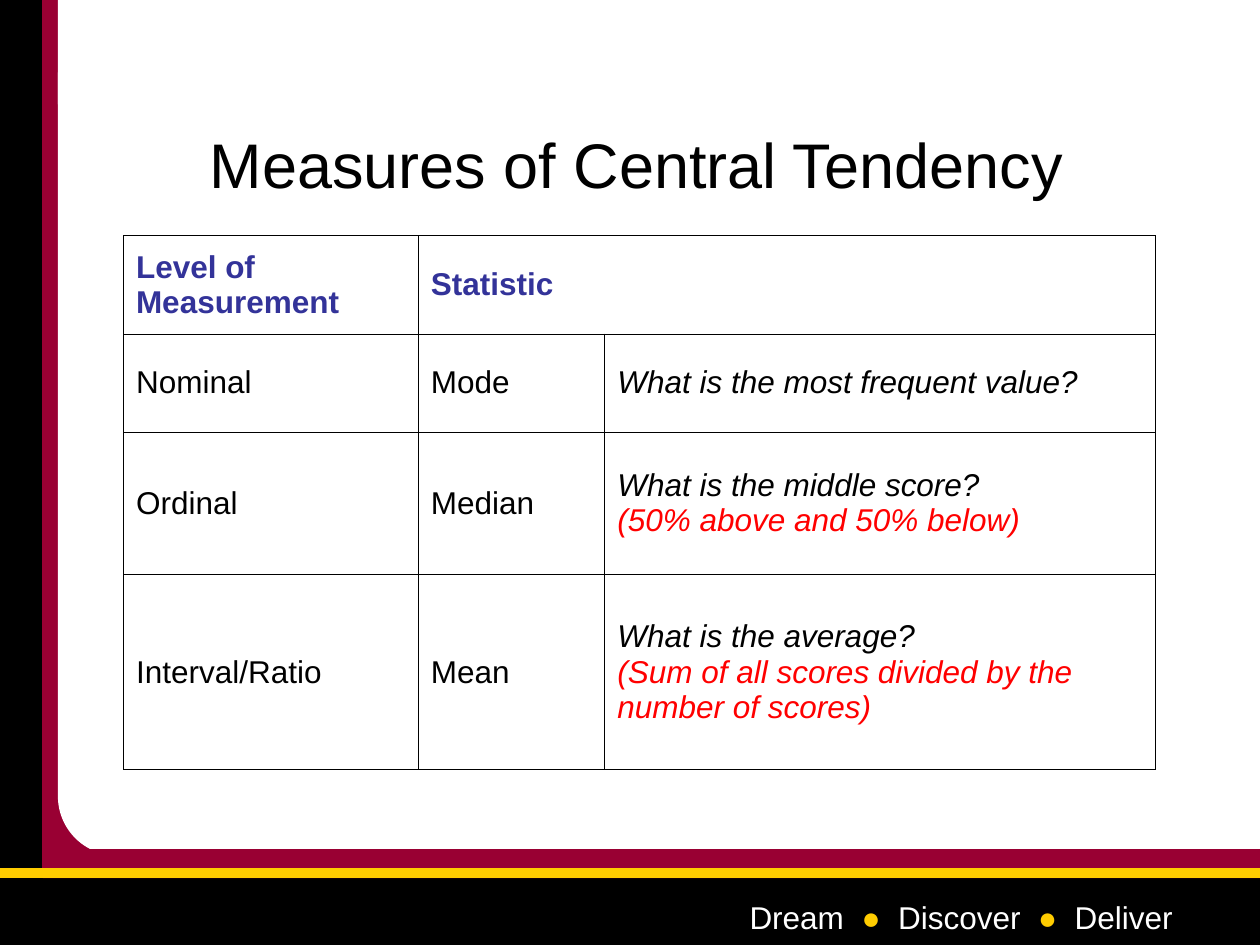
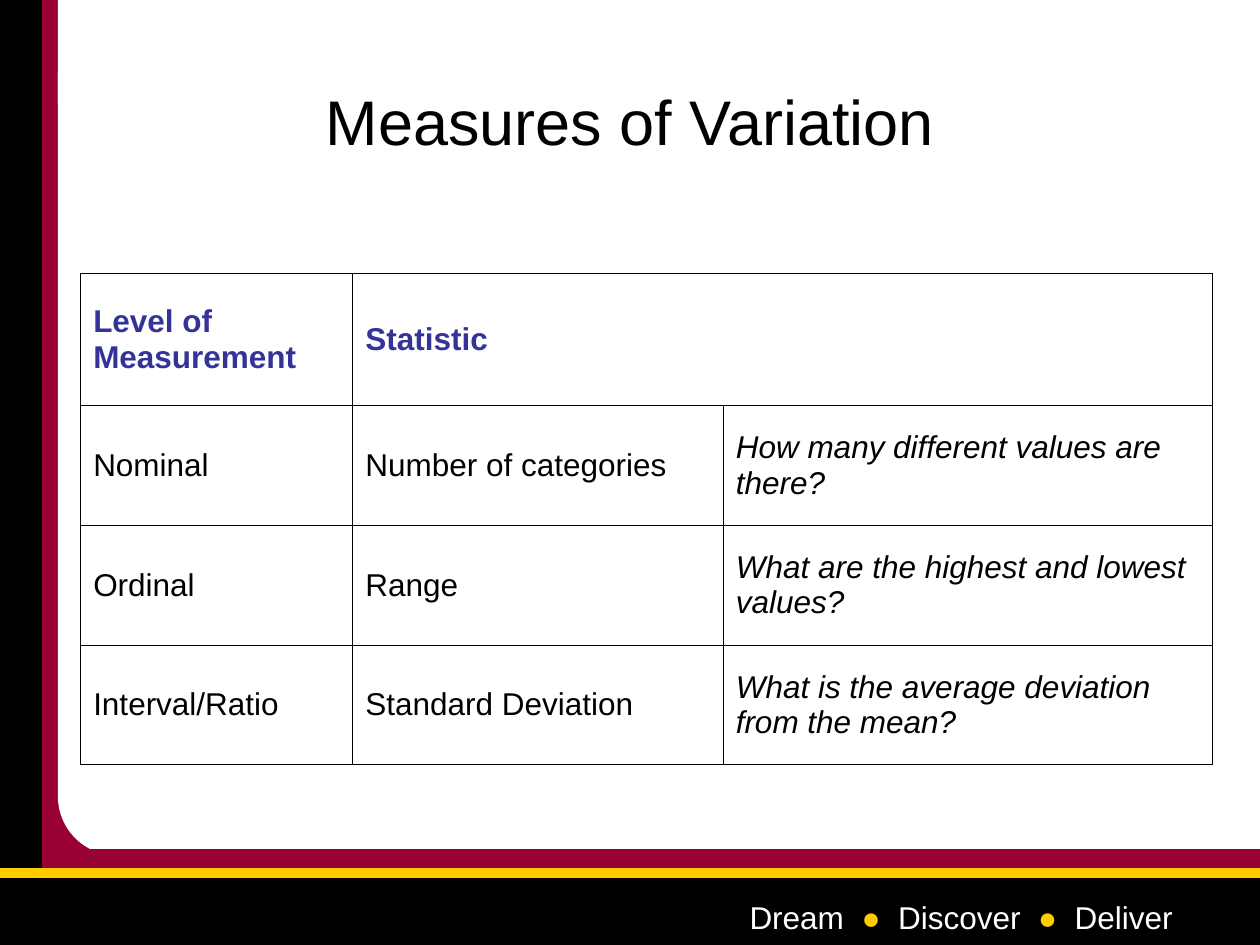
from dataclasses import dataclass

from lxml.etree import SubElement
from pptx import Presentation
from pptx.dml.color import RGBColor
from pptx.enum.shapes import MSO_CONNECTOR, MSO_SHAPE
from pptx.enum.text import MSO_ANCHOR, PP_ALIGN
from pptx.oxml import parse_xml
from pptx.oxml.ns import nsdecls, qn
from pptx.util import Emu, Pt

EMU_PER_PX = 9144


def px(n):
    return Emu(n * EMU_PER_PX)


@dataclass(frozen=True)
class Theme:
    black: str = "000000"
    white: str = "FFFFFF"
    maroon: str = "990033"
    gold: str = "FFCC00"
    heading: str = "333399"
    note: str = "FF0000"
    sans: str = "Arial"
    title_size: int = 36
    body_size: int = 18
    gold_line: float = 6
    edge_line: float = 0.75
    grid_line: float = 0.45


class Deck:
    def __init__(self, theme):
        self.t = theme
        self.prs = Presentation()
        self.prs.slide_width, self.prs.slide_height = px(1000), px(750)
        self.s = None

    def new_slide(self):
        self.s = self.prs.slides.add_slide(self.prs.slide_layouts[6])
        self.frame()

    def font(self, r, size, color, bold=False, italic=False):
        f = r.font
        f.name, f.size = self.t.sans, Pt(size)
        f.bold, f.italic = bold, italic
        f.color.rgb = RGBColor.from_string(color)

    def block(self, x, y, w, h, color, edge=False, kind=MSO_SHAPE.RECTANGLE):
        sp = self.s.shapes.add_shape(kind, px(x), px(y), px(w), px(h))
        sp.shadow.inherit = False
        sp.fill.solid()
        sp.fill.fore_color.rgb = RGBColor.from_string(color)
        if edge:
            sp.line.color.rgb = RGBColor.from_string(color)
            sp.line.width = Pt(self.t.edge_line)
        else:
            sp.line.fill.background()
        return sp

    def rule(self, x1, y1, x2, y2, color, width):
        ln = self.s.shapes.add_connector(
            MSO_CONNECTOR.STRAIGHT, px(x1), px(y1), px(x2), px(y2))
        ln.line.color.rgb = RGBColor.from_string(color)
        ln.line.width = Pt(width)
        SubElement(ln._element.spPr, qn("a:effectLst"))

    def textbox(self, x, y, w, h, align=PP_ALIGN.LEFT, anchor=MSO_ANCHOR.TOP):
        tf = self.s.shapes.add_textbox(px(x), px(y), px(w), px(h)).text_frame
        tf.word_wrap = True
        tf.vertical_anchor = anchor
        tf.paragraphs[0].alignment = align
        return tf.paragraphs[0]

    def tabs(self, p, stops):
        tab_list = SubElement(p._p.get_or_add_pPr(), qn("a:tabLst"))
        for stop in stops:
            SubElement(tab_list, qn("a:tab"), pos=str(px(stop)), algn="l")

    def frame(self):
        t = self.t
        self.block(32, 0, 43, 750, t.maroon)
        self.block(104, 75, 896, 675, t.white)
        self.block(0, 0, 33, 750, t.black, edge=True)
        self.block(0, 696, 1000, 54, t.black, edge=True)
        panel = self.block(46, 12, 281, 667, t.white, kind=MSO_SHAPE.ROUNDED_RECTANGLE)
        panel.adjustments[0] = 47 / 281
        self.block(46, 0, 64, 83, t.white)
        self.block(34, 674, 966, 23, t.maroon)
        self.rule(0, 693, 1000, 693, t.gold, t.gold_line)
        self.motto()

    def motto(self):
        t = self.t
        p = self.textbox(585, 708, 399, 40)
        self.tabs(p, (89, 118, 229, 258))
        for text, color in [("Dream\t", t.white), ("●\t", t.gold),
                            ("Discover\t", t.white), ("●\t", t.gold),
                            ("Deliver", t.white)]:
            r = p.add_run()
            r.text = text
            self.font(r, t.body_size, color)

    def title(self, text, x, y, w, h):
        p = self.textbox(x, y, w, h, PP_ALIGN.CENTER, MSO_ANCHOR.MIDDLE)
        p.text = text
        self.font(p.runs[0], self.t.title_size, self.t.black)

    def borders(self, cell):
        tc_pr = cell._tc.get_or_add_tcPr()
        for i, side in enumerate("LRTB"):
            tc_pr.insert(i, parse_xml(
                f'<a:ln{side} {nsdecls("a")} w="{Pt(self.t.grid_line)}"><a:solidFill>'
                f'<a:srgbClr val="{self.t.black}"/></a:solidFill></a:ln{side}>'))

    def cell(self, cell, text, header, question):
        t = self.t
        cell.fill.background()
        self.borders(cell)
        cell.vertical_anchor = MSO_ANCHOR.MIDDLE
        p = cell.text_frame.paragraphs[0]
        p.text = text
        for i, r in enumerate(p.runs):
            color = t.heading if header else t.note if i else t.black
            self.font(r, t.body_size, color, bold=header, italic=question)

    def table(self, x, y, widths, heights, rows):
        table = self.s.shapes.add_table(
            len(heights), len(widths), px(x), px(y),
            px(sum(widths)), px(sum(heights))).table
        table.first_row = table.horz_banding = False
        for col, w in zip(table.columns, widths):
            col.width = px(w)
        for row, h in zip(table.rows, heights):
            row.height = px(h)
        for i, texts in enumerate(rows):
            for j, text in enumerate(texts):
                self.cell(table.cell(i, j), text, i == 0, i > 0 and j == 2)
        table.cell(0, 1).merge(table.cell(0, 2))


HEADER = ("Level of Measurement", "Statistic", "")
LEVELS = ("Nominal", "Ordinal", "Interval/Ratio")


def with_levels(measures):
    return [HEADER] + [(level, *m) for level, m in zip(LEVELS, measures)]


def main():
    deck = Deck(Theme())

    deck.new_slide()
    deck.title("Measures of Central Tendency", 71, 67, 868, 125)
    deck.table(98, 187, (234, 148, 437), (78, 78, 113, 155), with_levels([
        ("Mode", "What is the most frequent value?"),
        ("Median", "What is the middle score?\v(50% above and 50% below)"),
        ("Mean", "What is the average?\v"
                 "(Sum of all scores divided by the number of scores)"),
    ]))

    deck.new_slide()
    deck.title("Measures of Variation", 75, 33, 850, 125)
    deck.table(64, 217, (216, 294, 388), (105, 95, 95, 95), with_levels([
        ("Number of categories", "How many different values are there?"),
        ("Range", "What are the highest and lowest values?"),
        ("Standard Deviation", "What is the average deviation from the mean?"),
    ]))

    deck.prs.save("out.pptx")


if __name__ == "__main__":
    main()
